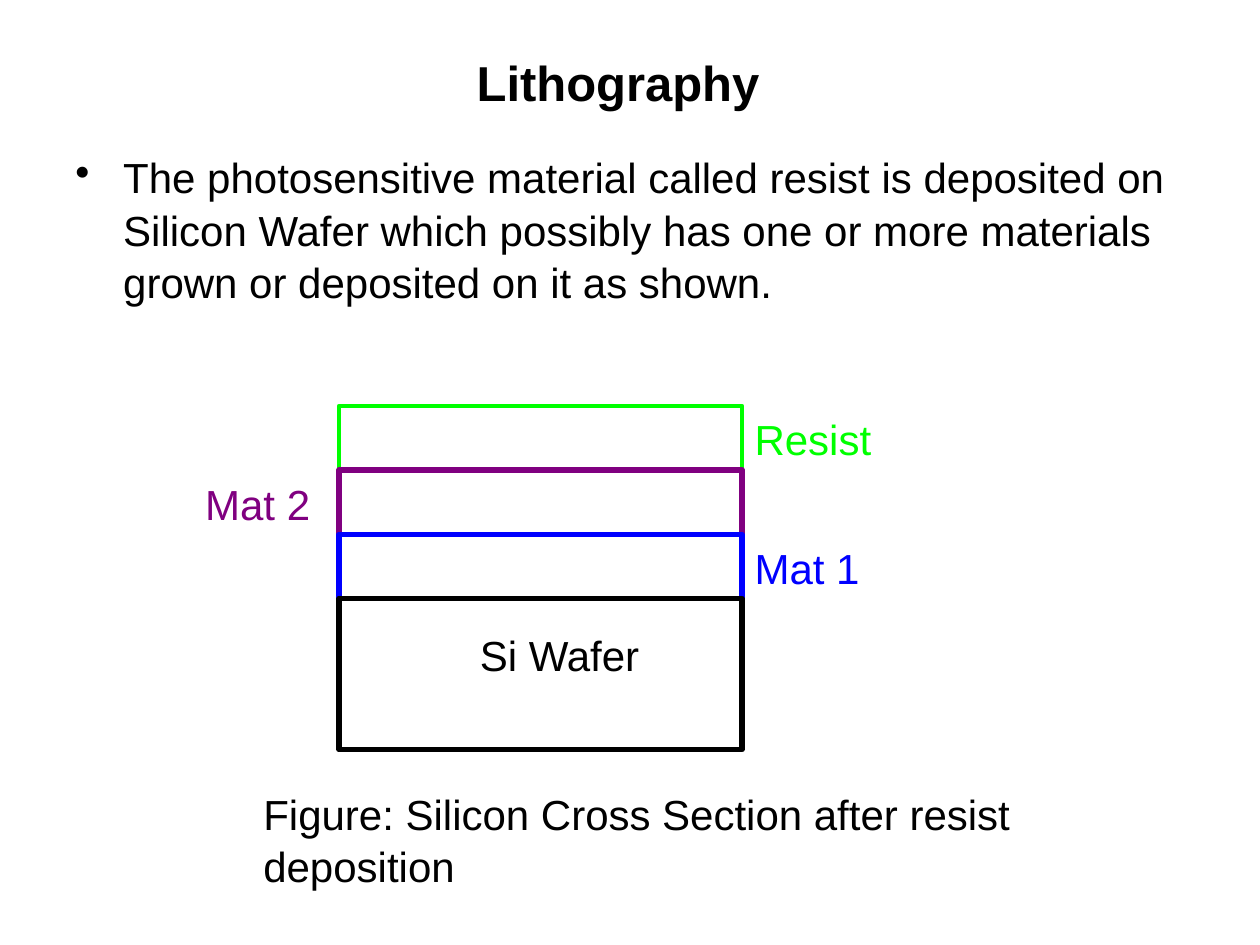
import pptx
import pptx.util
import pptx.dml.color
import pptx.enum.shapes
import pptx.enum.text
import lxml.etree
import pptx.oxml.ns

Inches, Pt = pptx.util.Inches, pptx.util.Pt
RGBColor = pptx.dml.color.RGBColor

BLACK = RGBColor(0, 0, 0)
WHITE = RGBColor(255, 255, 255)
GREEN = RGBColor(0, 255, 0)
PURPLE = RGBColor(128, 0, 128)
BLUE = RGBColor(0, 0, 255)

STACK_LEFT, STACK_TOP, STACK_W = 2.69, 3.22, 3.2
LAYER_H, WAFER_H = 0.51, 1.2
LABEL_W, LABEL_H = 1.16, 0.69


def add_run(p, text, size=24, color=BLACK, bold=False):
    r = p.add_run()
    r.text = text
    r.font.name = "Arial"
    r.font.size = Pt(size)
    r.font.bold = bold
    r.font.color.rgb = color


def add_title(slide, text):
    sp = slide.shapes.title
    sp.left, sp.top = Inches(0.5), Inches(0.3)
    sp.width, sp.height = Inches(8.81), Inches(0.7)
    sp.text_frame.vertical_anchor = pptx.enum.text.MSO_ANCHOR.MIDDLE
    p = sp.text_frame.paragraphs[0]
    p.alignment = pptx.enum.text.PP_ALIGN.CENTER
    add_run(p, text, 28, bold=True)


def add_text(slide, x, y, w, h, text, color=BLACK):
    sp = slide.shapes.add_textbox(Inches(x), Inches(y), Inches(w), Inches(h))
    tf = sp.text_frame
    tf.word_wrap = True
    p = tf.paragraphs[0]
    p.line_spacing = 1.04
    add_run(p, text, color=color)
    return tf


def add_bullet(p, indent):
    pPr = p._p.get_or_add_pPr()
    pPr.set("marL", str(Inches(indent)))
    pPr.set("indent", str(-Inches(indent)))
    bu = lxml.etree.SubElement(pPr, pptx.oxml.ns.qn("a:buChar"))
    bu.set("char", "•")


def add_layer(slide, y, h, color, weight):
    sp = slide.shapes.add_shape(
        pptx.enum.shapes.MSO_SHAPE.RECTANGLE,
        Inches(STACK_LEFT), Inches(y), Inches(STACK_W), Inches(h))
    sp.shadow.inherit = False
    sp.fill.solid()
    sp.fill.fore_color.rgb = WHITE
    sp.line.color.rgb = color
    sp.line.width = Pt(weight)


def main():
    prs = pptx.Presentation()
    prs.slide_width, prs.slide_height = Inches(10), Inches(7.5)
    slide = prs.slides.add_slide(prs.slide_layouts[5])

    # Title and bullet
    add_title(slide, "Lithography")
    tf = add_text(slide, 0.5, 0.99, 9, 1.49,
                  "The photosensitive material called resist is deposited on "
                  "Silicon Wafer which possibly has one or more materials "
                  "grown or deposited on it as shown.")
    tf.margin_top = Inches(0.2)
    add_bullet(tf.paragraphs[0], 0.38)

    # Thin layers, top to bottom, each labelled beside the stack
    right, left = STACK_LEFT + STACK_W, STACK_LEFT - LABEL_W
    layers = [("Resist", GREEN, 2.25, right),
              ("Mat 2", PURPLE, 3, left),
              ("Mat 1", BLUE, 3, right)]
    y = STACK_TOP
    for label, color, weight, label_x in layers:
        add_layer(slide, y, LAYER_H, color, weight)
        add_text(slide, label_x, y, LABEL_W, LABEL_H, label, color)
        y += LAYER_H

    # Wafer below the layers
    add_layer(slide, y, WAFER_H, BLACK, 3)
    add_text(slide, 3.71, 4.93, 1.54, 0.51, "Si Wafer")

    # Caption
    tf = add_text(slide, 2.09, 6.24, 6.07, 0.5,
                  "Figure: Silicon Cross Section after resist deposition")
    tf.margin_left = tf.margin_right = tf.margin_top = tf.margin_bottom = 0

    prs.save("out.pptx")


if __name__ == "__main__":
    main()
